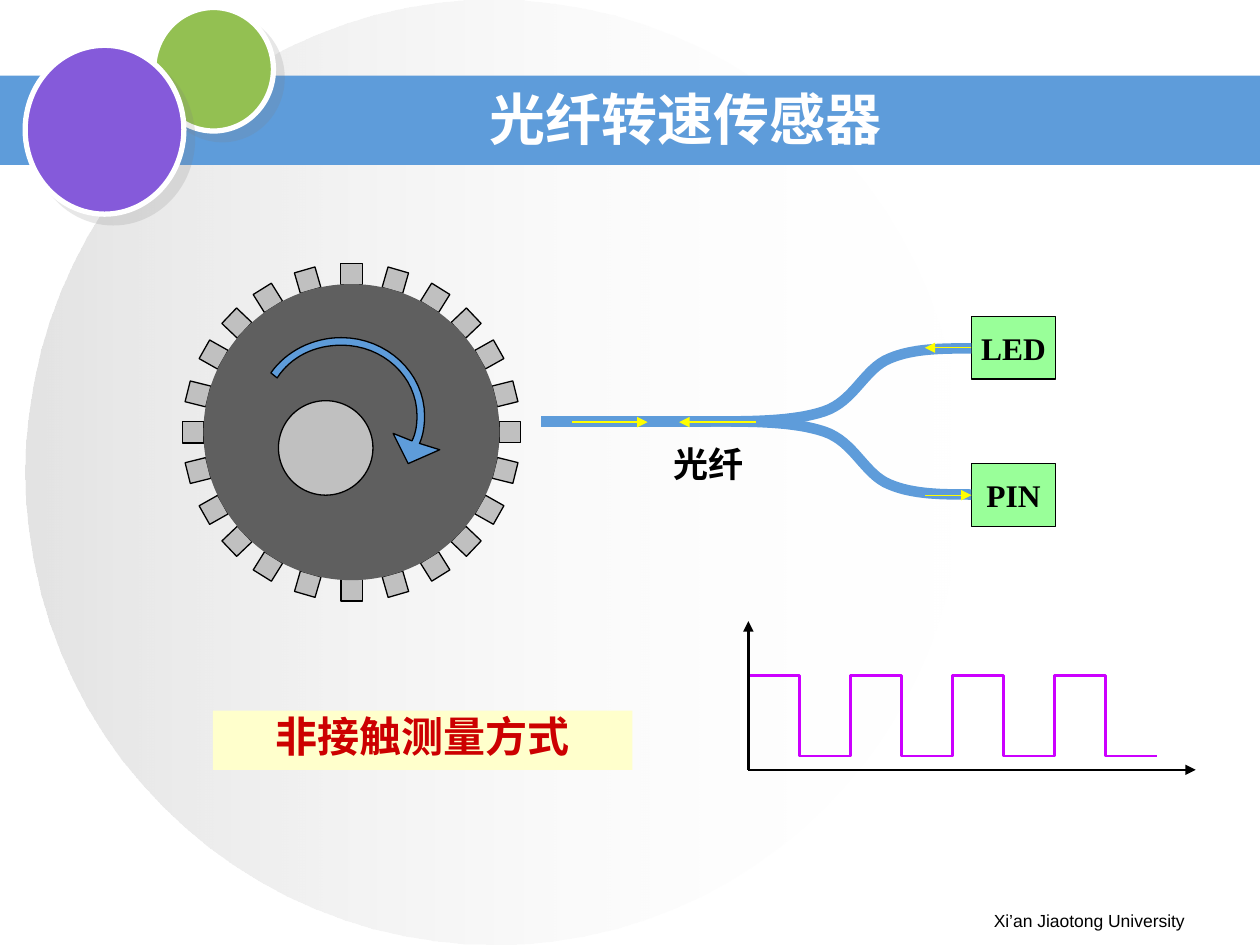
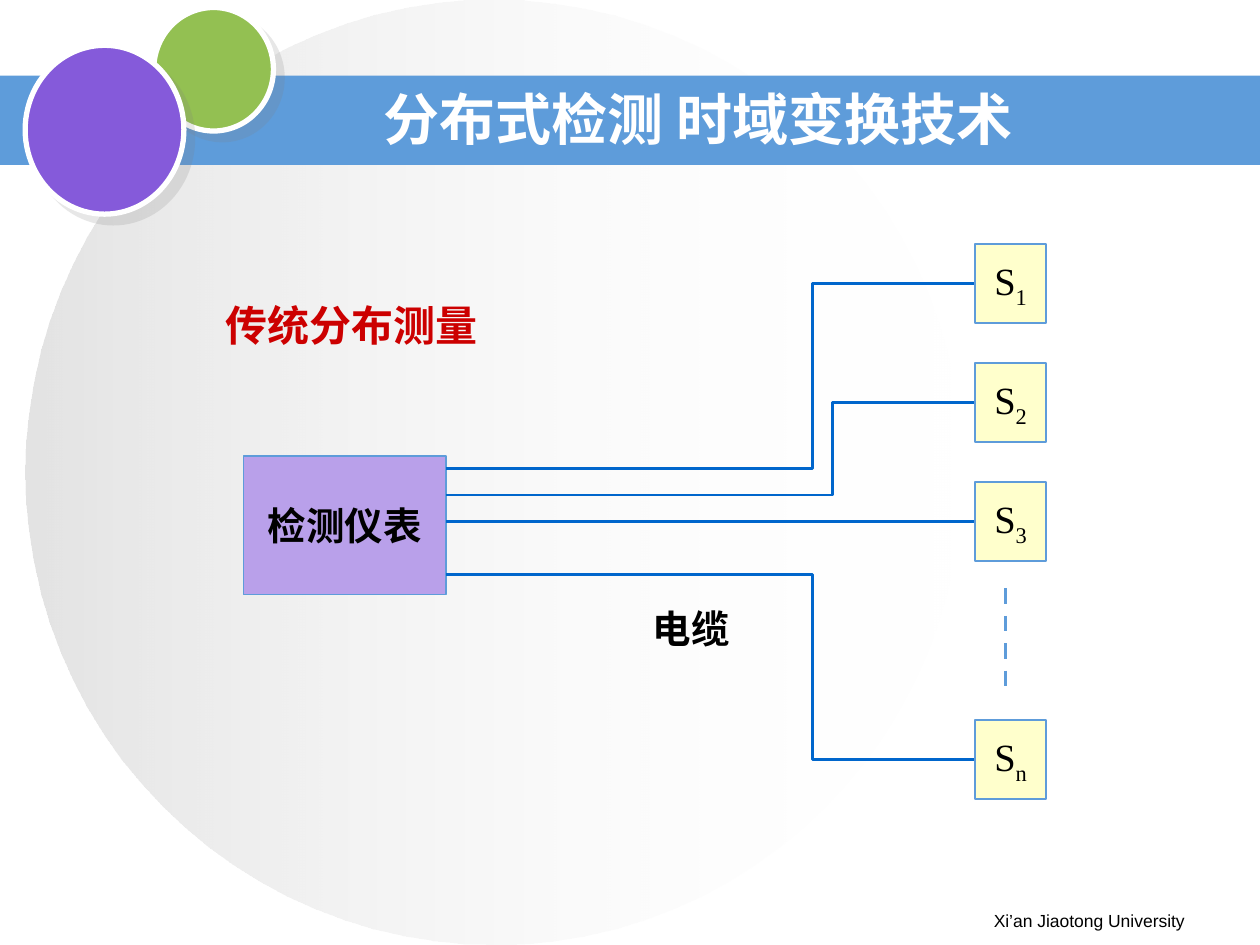
from dataclasses import dataclass
from math import cos, radians, sin

from lxml.etree import SubElement
from pptx import Presentation
from pptx.dml.color import RGBColor
from pptx.enum.dml import MSO_LINE_DASH_STYLE as Dash
from pptx.enum.shapes import MSO_CONNECTOR, MSO_SHAPE as Preset
from pptx.enum.text import MSO_ANCHOR as Anchor, PP_ALIGN as Align
from pptx.oxml.ns import qn
from pptx.util import Inches, Pt

# The slide is a grid of 10 columns by 7.5 rows of square cells.
COLUMNS, ROWS = 10, 7.5
CELL = Inches(1)


@dataclass(frozen=True)
class Theme:
    sans: str = "Arial"
    serif: str = "Times New Roman"
    title_size: float = 32
    heading_size: float = 24
    diagram_size: float = 22
    caption_size: float = 20
    device_size: float = 18
    footer_size: float = 10
    hairline: float = 0.75
    wire: float = 1.5
    fibre: float = 6
    white: str = "FFFFFF"
    black: str = "000000"
    silver: str = "C0C0C0"
    shade: str = "808080"
    blue: str = "5E9CDA"
    green: str = "93C052"
    purple: str = "855ADA"
    lilac: str = "B9A0EA"
    red: str = "CC0000"
    cream: str = "FFFFCC"
    steel: str = "5F5F5F"
    mint: str = "99FF99"
    yellow: str = "FFFF00"
    magenta: str = "CC00FF"
    cable: str = "0066CC"


THEME = Theme()


def cells(*counts):
    return [round(count * CELL) for count in counts]


def paint(shape, fill=None, line=None, width=THEME.hairline):
    shape.shadow.inherit = False
    if fill:
        shape.fill.solid()
        shape.fill.fore_color.rgb = RGBColor.from_string(fill)
    else:
        shape.fill.background()
    if line:
        shape.line.color.rgb = RGBColor.from_string(line)
        shape.line.width = Pt(width)
    else:
        shape.line.fill.background()
    return shape


def add_preset(page, preset, place, fill, line=None, width=THEME.hairline):
    return paint(page.shapes.add_shape(preset, *cells(*place)), fill, line, width)


def write(box, text, size, color, font=THEME.serif, bold=True, align=Align.CENTER,
          anchor=Anchor.TOP, insets=(0, 0), subscript=""):
    frame = box.text_frame
    frame.word_wrap = True
    frame.vertical_anchor = anchor
    frame.margin_left, frame.margin_top = cells(*insets)
    frame.margin_right, frame.margin_bottom = cells(*insets)
    para = frame.paragraphs[0]
    para.alignment = align
    for part in filter(None, (text, subscript)):
        span = para.add_run()
        span.text = part
        span.font.name = font
        span.font.size = Pt(size)
        span.font.bold = bold
        span.font.color.rgb = RGBColor.from_string(color)
    if subscript:
        span.font._element.set("baseline", "-25000")


def add_text(page, place, *words, **style):
    write(page.shapes.add_textbox(*cells(*place)), *words, **style)


def add_line(page, start, end, color, width, arrow=False, dash=None):
    line = page.shapes.add_connector(MSO_CONNECTOR.STRAIGHT, *cells(*start, *end))
    line.line.color.rgb = RGBColor.from_string(color)
    line.line.width = Pt(width)
    if dash:
        line.line.dash_style = dash
    properties = line.element.xpath("./p:spPr")[0]
    if arrow:
        SubElement(properties.find(qn("a:ln")), qn("a:tailEnd"), type="triangle")
    SubElement(properties, qn("a:effectLst"))


def curve(start, numbers, steps=16):
    """Points along a cubic curve; numbers holds two handles and the end."""
    knots = [start, numbers[:2], numbers[2:4], numbers[4:]]
    for step in range(1, steps + 1):
        t = step / steps
        weights = (1 - t) ** 3, 3 * t * (1 - t) ** 2, 3 * t * t * (1 - t), t ** 3
        yield tuple(sum(w * knot[axis] for w, knot in zip(weights, knots))
                    for axis in (0, 1))


def add_outline(page, start, moves, close=False, **look):
    """Draw moves of two numbers as straight lines and of six as curves."""
    points = [start]
    for move in moves:
        points.extend([move] if len(move) == 2 else curve(points[-1], move))
    builder = page.shapes.build_freeform(*cells(*start), scale=1.0)
    builder.add_line_segments([cells(*point) for point in points[1:]], close=close)
    return paint(builder.convert_to_shape(), **look)


def set_alpha(color, percent):
    SubElement(color, qn("a:alpha"), val=str(percent * 1000))


def add_backdrop(page):
    disc = add_preset(page, Preset.OVAL, (0.2, 0, 7.44, ROWS), THEME.white)
    disc.fill.gradient()
    disc.fill.gradient_angle = 180
    for stop, color in zip(disc.fill.gradient_stops, (THEME.white, THEME.silver)):
        stop.color.rgb = RGBColor.from_string(color)
    for color, opacity in zip(disc.element.xpath(".//a:gs/a:srgbClr"), (0, 44)):
        set_alpha(color, opacity)


def add_bubble(page, place, fill):
    bubble = add_preset(page, Preset.OVAL, place, fill, THEME.white, 3)
    effects = bubble.element.xpath("./p:spPr/a:effectLst")[0]
    shadow = SubElement(effects, qn("a:outerShdw"), blurRad="0", dist=str(Pt(7.1)),
                        dir="2700000", algn="ctr", rotWithShape="0")
    set_alpha(SubElement(shadow, qn("a:srgbClr"), val=THEME.shade), 19)


def add_page(deck, title, title_left=2.25):
    page = deck.slides.add_slide(deck.slide_layouts[6])
    add_backdrop(page)
    add_preset(page, Preset.RECTANGLE, (0, 0.6, COLUMNS, 0.71), THEME.blue)
    add_bubble(page, (1.22, 0.06, 0.95, 0.98), THEME.green)
    add_bubble(page, (0.2, 0.36, 1.26, 1.34), THEME.purple)
    add_text(page, (7.17, 7.17, 2.33, 0.27), "Xi’an Jiaotong University",
             THEME.footer_size, THEME.black, font=THEME.sans, bold=False,
             align=Align.RIGHT, insets=(0.1, 0.05))
    add_text(page, (title_left, 0.67, 6.58, 0.53), title, THEME.title_size,
             THEME.white, font=THEME.sans, anchor=Anchor.MIDDLE, insets=(0.1, 0.05))
    return page


def add_gear(page, center_x=2.79, center_y=3.43, radius=1.17, tooth=0.17):
    tilts = (0, 16.1, 31.9, 46.4, 60.6, 76, 90)
    angles = {turn % 360 for tilt in tilts
              for turn in (tilt, -tilt, 180 - tilt, 180 + tilt)}
    reach = radius + tooth / 2
    for angle in sorted(angles):
        left = center_x + reach * sin(radians(angle)) - tooth / 2
        top = center_y - reach * cos(radians(angle)) - tooth / 2
        block = add_preset(page, Preset.RECTANGLE, (left, top, tooth, tooth),
                           THEME.silver, THEME.black)
        block.rotation = angle
    add_preset(page, Preset.OVAL, (center_x - radius, center_y - radius,
                                   2 * radius, 2 * radius), THEME.steel, THEME.steel)
    add_preset(page, Preset.OVAL, (2.21, 3.18, 0.75, 0.75), THEME.silver, THEME.black)
    add_outline(page, (3.27, 3.5), [
        (3.3, 3.44, 3.31, 3.37, 3.31, 3.3),
        (3.31, 2.99, 3.04, 2.74, 2.71, 2.74),
        (2.5, 2.74, 2.31, 2.83, 2.2, 3),
        (2.15, 2.96),
        (2.27, 2.79, 2.48, 2.68, 2.71, 2.68),
        (3.07, 2.68, 3.37, 2.96, 3.37, 3.3),
        (3.37, 3.38, 3.36, 3.45, 3.33, 3.52),
        (3.49, 3.57), (3.24, 3.68), (3.12, 3.44),
    ], close=True, fill=THEME.blue, line=THEME.black)


def add_fibre(page, axis=3.345):
    for name, top in (("LED", 2.51), ("PIN", 3.68)):
        device = add_preset(page, Preset.RECTANGLE, (7.71, top, 0.67, 0.5),
                            THEME.mint, THEME.black)
        write(device, name, THEME.device_size, THEME.black, anchor=Anchor.MIDDLE)
    for side in (-1, 1):
        high, upper, lower, low = (axis + side * rise for rise in (0.58, 0.5, 0.42, 0.16))
        bend = axis + side * 0.08
        add_outline(page, (7.71, high), [
            (7.48, high, 7.25, high, 7.06, upper),
            (6.86, lower, 6.78, low, 6.54, bend),
            (6.3, axis, 5.97, axis, 5.63, axis),
        ], line=THEME.blue, width=THEME.fibre)
    add_line(page, (5.64, axis), (4.29, axis), THEME.blue, THEME.fibre)
    for start, end, level in ((6, 5.39, 3.35), (4.54, 5.14, 3.35),
                              (7.71, 7.34, 2.76), (7.34, 7.71, 3.93)):
        add_line(page, (start, level), (end, level), THEME.yellow, THEME.hairline,
                 arrow=True)
    add_text(page, (5.21, 3.51, 0.83, 0.28), "光纤", THEME.caption_size, THEME.black)


def add_pulse_plot(page, left=5.94, base=6.11, high=5.36, low=6, half=0.405):
    points = []
    for step in range(8):
        level = low if step % 2 else high
        points += [(left + step * half, level), (left + (step + 1) * half, level)]
    add_outline(page, points[0], points[1:], line=THEME.magenta, width=THEME.wire)
    for tip in ((left, 4.93), (9.49, base)):
        add_line(page, (left, base), tip, THEME.black, THEME.wire, arrow=True)


def add_speed_sensor_page(deck):
    page = add_page(deck, "光纤转速传感器", title_left=2.15)
    banner = add_preset(page, Preset.RECTANGLE, (1.69, 5.64, 3.33, 0.47), THEME.cream)
    write(banner, "非接触测量方式", THEME.heading_size, THEME.red)
    add_gear(page)
    add_fibre(page)
    add_pulse_plot(page)


def add_sensor(page, index, cable_top, bend, left=7.74, height=0.63):
    """Draw one sensor and the cable that ties it to the meter."""
    row = 3 if index == "3" else index
    return row


def add_sensors(page, meter_right=3.54, sensor_left=7.74):
    sensors = (("1", 0, 6.45), ("2", 1, 6.61), ("3", 2, None), ("n", 4, 6.45))
    for index, row, bend in sensors:
        port, level = 3.72 + 0.21 * row, 2.25 + 0.945 * row
        start, end = (meter_right, port), (sensor_left, level)
        if bend:
            add_outline(page, start, [(bend, port), (bend, level), end],
                        line=THEME.cable, width=THEME.wire)
        else:
            add_line(page, start, end, THEME.cable, THEME.wire)
        sensor = add_preset(page, Preset.RECTANGLE,
                            (sensor_left, level - 0.315, 0.56, 0.63),
                            THEME.cream, THEME.blue, 1)
        write(sensor, "S", THEME.diagram_size, THEME.black, bold=False,
              anchor=Anchor.MIDDLE, subscript=index)
    add_line(page, (7.98, 4.67), (7.98, 5.51), THEME.blue, 2.25, dash=Dash.DASH)


def add_distributed_page(deck):
    page = add_page(deck, "分布式检测 时域变换技术")
    add_text(page, (1.69, 2.33, 3.27, 0.76), "传统分布测量", THEME.heading_size,
             THEME.red, font=THEME.sans, align=Align.LEFT, insets=(0.1, 0.05))
    meter = add_preset(page, Preset.RECTANGLE, (1.93, 3.62, 1.61, 1.1),
                       THEME.lilac, THEME.blue)
    write(meter, "检测仪表", THEME.diagram_size, THEME.black, anchor=Anchor.MIDDLE)
    add_sensors(page)
    add_text(page, (5, 4.67, 0.97, 0.63), "电缆", THEME.diagram_size, THEME.black,
             anchor=Anchor.MIDDLE)


def main():
    deck = Presentation()
    deck.slide_width, deck.slide_height = cells(COLUMNS, ROWS)
    add_speed_sensor_page(deck)
    add_distributed_page(deck)
    deck.save("out.pptx")


if __name__ == "__main__":
    main()
